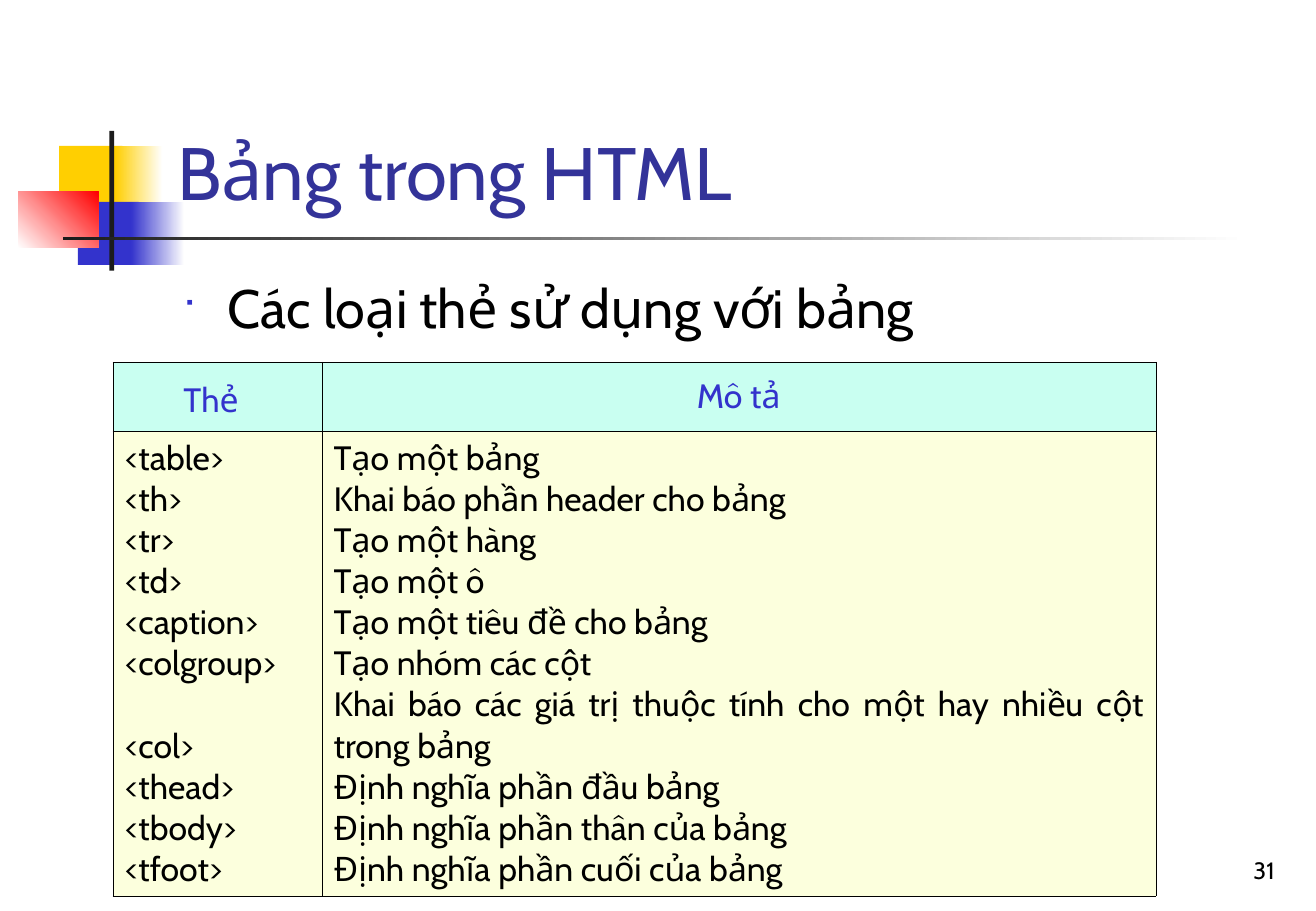
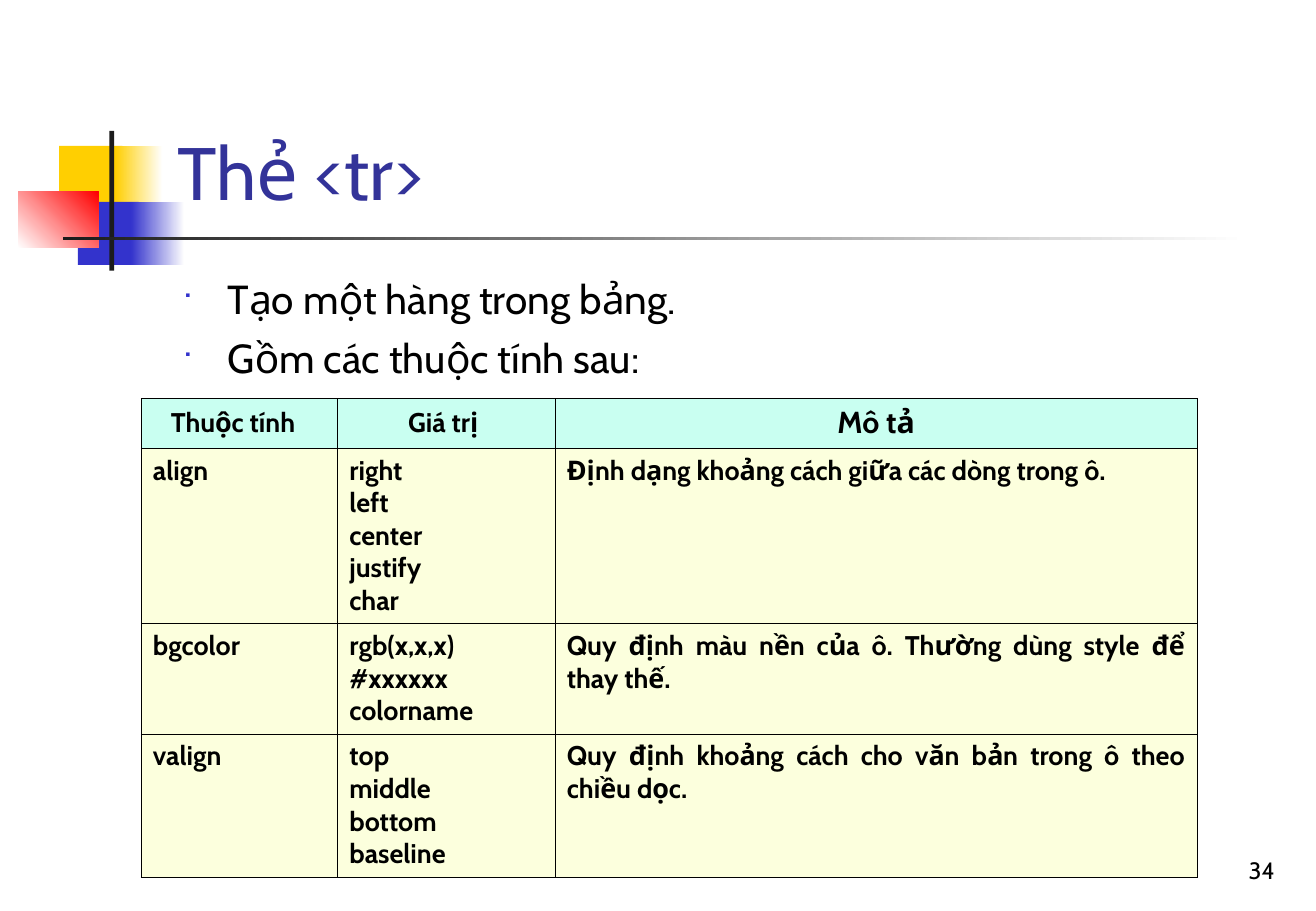
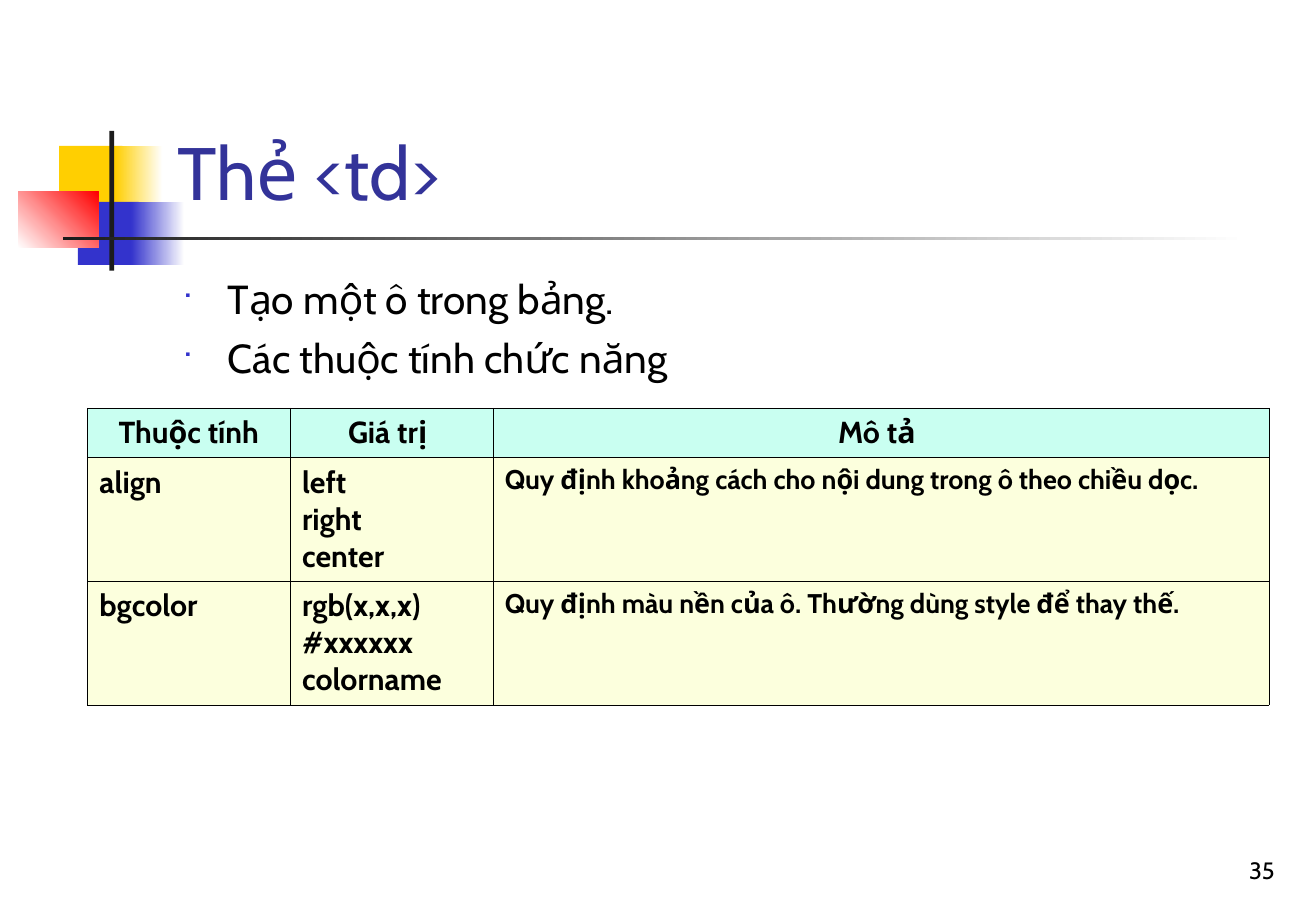
from dataclasses import dataclass
from typing import Optional

import pptx
import pptx.dml.color
import pptx.enum.shapes
import pptx.enum.text
import pptx.oxml.ns
import pptx.util
from lxml import etree
from pptx.util import Cm, Pt

ALIGN = pptx.enum.text.PP_ALIGN
ANCHOR = pptx.enum.text.MSO_ANCHOR
qn = pptx.oxml.ns.qn


# Shared look
@dataclass(frozen=True)
class Theme:
    font: str = "Cabin"
    black: str = "000000"
    white: str = "FFFFFF"
    dark: str = "1C1C1C"
    blue: str = "3333CC"
    yellow: str = "FFCF01"
    red: str = "FF0000"
    title: str = "333399"
    header_fill: str = "C9FFF1"
    body_fill: str = "FCFFDD"
    title_size: int = 44
    number_size: int = 14
    large: int = 20
    medium: int = 18
    small: int = 16
    border: float = 0.06


@dataclass(frozen=True)
class Box:
    left: float
    top: float
    width: float
    height: float

    def lengths(self) -> tuple:
        return Cm(self.left), Cm(self.top), Cm(self.width), Cm(self.height)


@dataclass(frozen=True)
class Block:
    box: Box
    color: str
    fade_to: Optional[str] = None
    angle: int = 0


@dataclass(frozen=True)
class Line:
    text: str
    before: float = 0


@dataclass(frozen=True)
class Cell:
    lines: tuple
    size: int
    shift_left: float = 0
    shift_down: float = 0


@dataclass(frozen=True)
class Grid:
    left: float
    top: float
    cols: tuple
    heights: tuple
    rows: tuple
    bold: bool = True
    header_color: str = "000000"
    header_anchor: ANCHOR = ANCHOR.MIDDLE
    body_anchor: ANCHOR = ANCHOR.TOP


@dataclass(frozen=True)
class Page:
    number: int
    title: str
    bullets: tuple
    bullet_size: int
    bullet_gap: int
    grid: Grid


T = Theme()
SLIDE_W, SLIDE_H = 27.53, 19.05
TITLE_BOX = Box(3.45, 0.58, 23.44, 4.06)
BODY_BOX = Box(3.56, 5.61, 23.39, 11.43)
NUMBER_BOX = Box(21.18, 17.35, 5.74, 1.27)
INSET_X, INSET_Y, BULLET_INDENT = 0.25, 0.13, 0.95

DECORATION = (
    Block(Box(1.24, 3.05, 1.32, 1.32), T.yellow),
    Block(Box(2.41, 3.05, 0.99, 1.32), T.yellow, T.white),
    Block(Box(1.63, 4.22, 1.27, 1.32), T.blue),
    Block(Box(2.74, 4.22, 1.12, 1.32), T.blue, T.white),
    Block(Box(0.38, 4.01, 1.68, 1.17), T.white, T.red, 45),
    Block(Box(2.29, 2.74, 0.1, 2.92), T.dark),
    Block(Box(1.32, 4.95, 24.77, 0.08), T.dark, T.white),
)


# Content
def cell(text: str, size: int, shift_left: float = 0, shift_down: float = 0) -> Cell:
    return Cell((Line(text),), size, shift_left, shift_down)


TAGS = (
    Line("<table>"), Line("<th>"), Line("<tr>"), Line("<td>"), Line("<caption>"),
    Line("<colgroup>"), Line("<col>", before=24.3), Line("<thead>"),
    Line("<tbody>"), Line("<tfoot>"),
)
TAG_NOTES = tuple(Line(text) for text in (
    "Tạo một bảng",
    "Khai báo phần header cho bảng",
    "Tạo một hàng",
    "Tạo một ô",
    "Tạo một tiêu đề cho bảng",
    "Tạo nhóm các cột",
    "Khai báo các giá trị thuộc tính cho một hay nhiều cột trong bảng",
    "Định nghĩa phần đầu bảng",
    "Định nghĩa phần thân của bảng",
    "Định nghĩa phần cuối của bảng",
))
COLOR_VALUES = "rgb(x,x,x)\n#xxxxxx\ncolorname"
COLOR_NOTE = "Quy định màu nền của ô. Thường dùng style để thay thế."

PAGES = (
    Page(31, "Bảng trong HTML", ("Các loại thẻ sử dụng với bảng",), 32, 8, Grid(
        2.36, 7.57, (4.37, 17.45), (1.45, 9.58),
        (
            (cell("Thẻ", T.large, 0.13, 0.08), cell("Mô tả", T.large)),
            (Cell(TAGS, T.large), Cell(TAG_NOTES, T.large)),
        ),
        bold=False, header_color=T.blue, body_anchor=ANCHOR.MIDDLE)),
    Page(34, "Thẻ <tr>", ("Tạo một hàng trong bảng.", "Gồm các thuộc tính sau:"), 24, 6, Grid(
        2.95, 8.33, (4.11, 4.55, 13.44), (1.02, 3.63, 2.29, 2.97),
        (
            (cell("Thuộc tính", T.small, 0.13), cell("Giá trị", T.small, 0.06),
             cell("Mô tả", T.medium)),
            (cell("align", T.small), cell("right\nleft\ncenter\njustify\nchar", T.small),
             cell("Định dạng khoảng cách giữa các dòng trong ô.", T.small)),
            (cell("bgcolor", T.small), cell(COLOR_VALUES, T.small), cell(COLOR_NOTE, T.small)),
            (cell("valign", T.small), cell("top\nmiddle\nbottom\nbaseline", T.small),
             cell("Quy định khoảng cách cho văn bản trong ô theo chiều dọc.", T.small)),
        ))),
    Page(35, "Thẻ <td>", ("Tạo một ô trong bảng.", "Các thuộc tính chức năng"), 24, 6, Grid(
        1.83, 8.53, (4.24, 4.24, 16.23), (1.02, 2.54, 2.54),
        (
            (cell("Thuộc tính", T.medium), cell("Giá trị", T.medium, 0.08),
             cell("Mô tả", T.medium, 0.08)),
            (cell("align", T.medium), cell("left\nright\ncenter", T.medium),
             cell("Quy định khoảng cách cho nội dung trong ô theo chiều dọc.", T.small)),
            (cell("bgcolor", T.medium), cell(COLOR_VALUES, T.medium), cell(COLOR_NOTE, T.small)),
        ),
        header_anchor=ANCHOR.TOP)),
)


# Text helpers
def rgb(color: str) -> pptx.dml.color.RGBColor:
    return pptx.dml.color.RGBColor.from_string(color)


def write(p, text: str, *, size: int, color: str = T.black, bold: bool = False,
          align: ALIGN = ALIGN.LEFT, before: float = 0) -> None:
    p.alignment = align
    p.space_before = Pt(before)
    for i, part in enumerate(text.split("\n")):
        if i:
            p.add_line_break()
        r = p.add_run()
        r.text = part
        r.font.name = T.font
        r.font.size = Pt(size)
        r.font.bold = bold
        r.font.color.rgb = rgb(color)


def paragraph(tf, index: int):
    return tf.add_paragraph() if index else tf.paragraphs[0]


def add_bullet(p) -> None:
    pPr = p._p.get_or_add_pPr()
    pPr.set("marL", str(Cm(BULLET_INDENT)))
    pPr.set("indent", str(-Cm(BULLET_INDENT)))
    color = etree.SubElement(pPr, qn("a:buClr"))
    etree.SubElement(color, qn("a:srgbClr"), val=T.blue)
    etree.SubElement(pPr, qn("a:buSzPct"), val="60000")
    etree.SubElement(pPr, qn("a:buFont"), typeface="Wingdings")
    etree.SubElement(pPr, qn("a:buChar"), char="■")


def place(sp, box: Box, anchor: ANCHOR):
    sp.left, sp.top, sp.width, sp.height = box.lengths()
    tf = sp.text_frame
    tf.word_wrap = True
    tf.auto_size = pptx.enum.text.MSO_AUTO_SIZE.NONE
    tf.vertical_anchor = anchor
    return tf


# Decoration, held by the layout
def add_block(s, block: Block):
    sp = s.shapes.add_shape(pptx.enum.shapes.MSO_SHAPE.RECTANGLE, *block.box.lengths())
    sp.shadow.inherit = False
    sp.line.fill.background()
    if block.fade_to:
        sp.fill.gradient()
        sp.fill.gradient_angle = block.angle
        for stop, color in zip(sp.fill.gradient_stops, (block.color, block.fade_to)):
            stop.color.rgb = rgb(color)
    else:
        sp.fill.solid()
        sp.fill.fore_color.rgb = rgb(block.color)
    return sp


def decorate_layout(s) -> None:
    for i, block in enumerate(DECORATION):
        sp = add_block(s, block)
        sp.element.nvSpPr.cNvPr.set("id", str(100 + i))
        s.slide_layout.shapes.element.append(sp.element)


# Tables
def add_borders(tc) -> None:
    tcPr = tc.get_or_add_tcPr()
    for i, side in enumerate(("a:lnL", "a:lnR", "a:lnT", "a:lnB")):
        ln = etree.Element(qn(side), w=str(Pt(T.border)))
        fill = etree.SubElement(ln, qn("a:solidFill"))
        etree.SubElement(fill, qn("a:srgbClr"), val=T.black)
        tcPr.insert(i, ln)


def fill_cell(target, content: Cell, grid: Grid, header: bool) -> None:
    target.fill.solid()
    target.fill.fore_color.rgb = rgb(T.header_fill if header else T.body_fill)
    target.vertical_anchor = grid.header_anchor if header else grid.body_anchor
    target.margin_left = Cm(INSET_X)
    target.margin_right = Cm(INSET_X + 2 * content.shift_left)
    target.margin_top = Cm(INSET_Y + 2 * content.shift_down)
    target.margin_bottom = Cm(INSET_Y)
    for i, line in enumerate(content.lines):
        body_align = ALIGN.LEFT if "\n" in line.text else ALIGN.JUSTIFY
        write(paragraph(target.text_frame, i), line.text, size=content.size,
              color=grid.header_color if header else T.black, bold=grid.bold,
              align=ALIGN.CENTER if header else body_align, before=line.before)
    add_borders(target._tc)


def add_grid(s, grid: Grid) -> None:
    box = Box(grid.left, grid.top, sum(grid.cols), sum(grid.heights))
    table = s.shapes.add_table(len(grid.rows), len(grid.cols), *box.lengths()).table
    table.first_row = table.horz_banding = False
    for col, width in zip(table.columns, grid.cols):
        col.width = Cm(width)
    for i, (row, height) in enumerate(zip(table.rows, grid.heights)):
        row.height = Cm(height)
        for target, content in zip(row.cells, grid.rows[i]):
            fill_cell(target, content, grid, header=i == 0)


# Slides
def fill_slide(s, page: Page) -> None:
    tf = place(s.shapes.title, TITLE_BOX, ANCHOR.BOTTOM)
    write(tf.paragraphs[0], page.title, size=T.title_size, color=T.title)

    tf = place(s.placeholders[1], BODY_BOX, ANCHOR.TOP)
    for i, text in enumerate(page.bullets):
        p = paragraph(tf, i)
        write(p, text, size=page.bullet_size, before=page.bullet_gap)
        add_bullet(p)

    number = s.shapes.add_textbox(*NUMBER_BOX.lengths())
    tf = place(number, NUMBER_BOX, ANCHOR.BOTTOM)
    write(tf.paragraphs[0], str(page.number), size=T.number_size, align=ALIGN.RIGHT)

    add_grid(s, page.grid)


def main() -> None:
    prs = pptx.Presentation()
    prs.slide_width, prs.slide_height = Cm(SLIDE_W), Cm(SLIDE_H)
    for i, page in enumerate(PAGES):
        s = prs.slides.add_slide(prs.slide_layouts[1])
        if i == 0:
            decorate_layout(s)
        fill_slide(s, page)
    prs.save("out.pptx")


if __name__ == "__main__":
    main()
